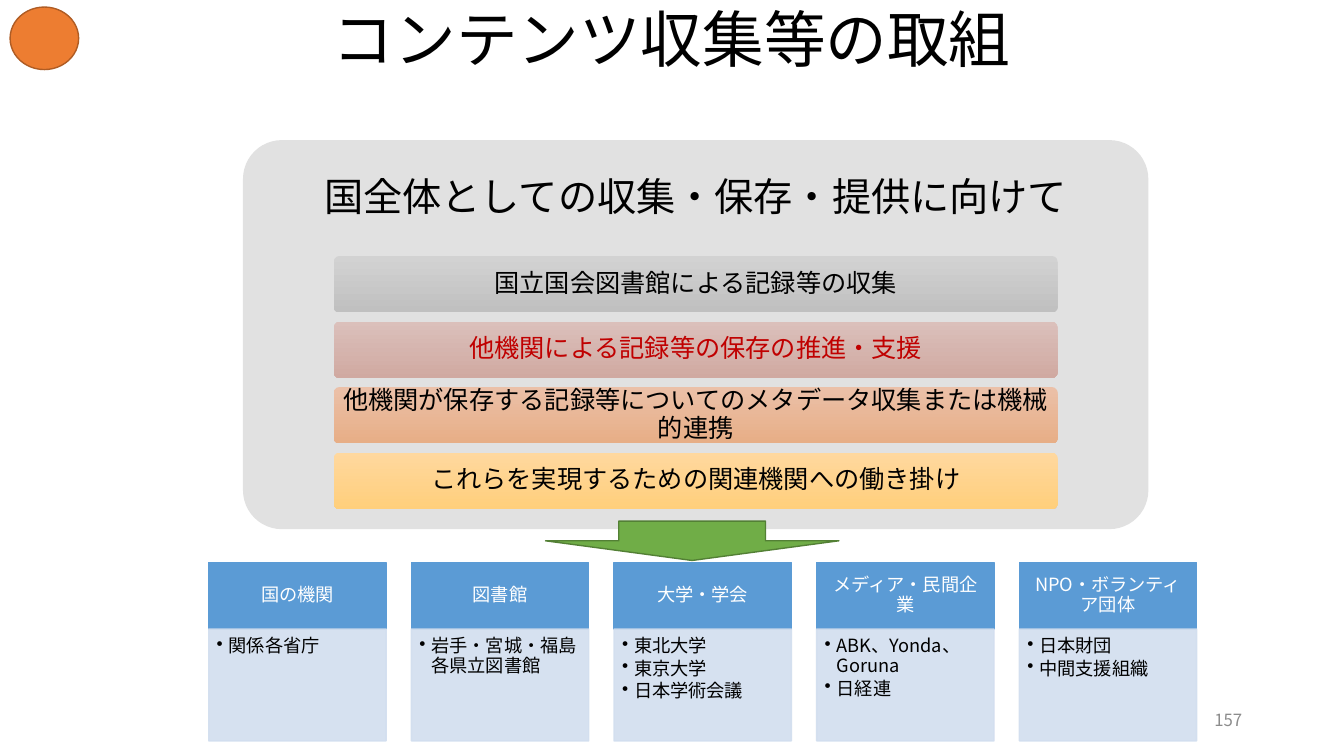
from dataclasses import dataclass

from lxml import etree
from pptx import Presentation
from pptx.dml.color import RGBColor
from pptx.enum import lang, shapes, text
from pptx.oxml import ns
from pptx.util import Inches, Pt


@dataclass(frozen=True)
class Theme:
    font: str = "Noto Sans CJK JP"
    ink: str = "000000"
    accent: str = "C00000"
    white: str = "FFFFFF"
    muted: str = "8C8C8C"
    panel: str = "E1E1E1"
    header: str = "5B9BD5"
    body: str = "D2DEEF"
    arrow: str = "70AD47"
    arrow_edge: str = "538035"
    marker: str = "ED7D31"
    marker_edge: str = "AF5C24"
    title_size: int = 44
    heading_size: int = 28
    bar_size: int = 18
    card_size: int = 13
    number_size: int = 12


THEME = Theme()
KIND = shapes.MSO_SHAPE
ALIGN = text.PP_ALIGN
ANCHOR = text.MSO_ANCHOR

BARS = [
    ("国立国会図書館による記録等の収集", THEME.ink, ("D2D2D2", "C0C0C0")),
    ("他機関による記録等の保存の推進・支援", THEME.accent, ("DBC0BB", "D0A9A1")),
    ("他機関が保存する記録等についてのメタデータ収集または機械的連携", THEME.ink, ("EBC0A8", "E7AE86")),
    ("これらを実現するための関連機関への働き掛け", THEME.ink, ("FFD89E", "FFCF7C")),
]
CARDS = [
    ("国の機関", ["関係各省庁"]),
    ("図書館", ["岩手・宮城・福島各県立図書館"]),
    ("大学・学会", ["東北大学", "東京大学", "日本学術会議"]),
    ("メディア・民間企業", ["ABK、Yonda、Goruna", "日経連"]),
    ("NPO・ボランティア団体", ["日本財団", "中間支援組織"]),
]


def rgb(value):
    return RGBColor.from_string(value)


def add_span(para, words, size, color):
    span = para.add_run()
    span.text = words
    span.font.name = THEME.font
    span.font.size = Pt(size)
    span.font.color.rgb = rgb(color)
    span.font.language_id = lang.MSO_LANGUAGE_ID.JAPANESE
    properties = span.font._element
    etree.SubElement(properties, ns.qn("a:ea"), typeface=THEME.font)


def set_frame(box, anchor, insets):
    frame = box.text_frame
    frame.word_wrap = True
    frame.auto_size = text.MSO_AUTO_SIZE.NONE
    frame.vertical_anchor = anchor
    frame.margin_left, frame.margin_top, frame.margin_right, frame.margin_bottom = map(Inches, insets)
    return frame


def write_line(box, words, size, color, insets=(0.1, 0.05, 0.1, 0.05), align=ALIGN.CENTER):
    para = set_frame(box, ANCHOR.MIDDLE, insets).paragraphs[0]
    para.alignment = align
    para.line_spacing = 0.9
    add_span(para, words, size, color)


def write_bullets(box, items):
    frame = set_frame(box, ANCHOR.TOP, (0.08, 0.08, 0.1, 0.11))
    for index, item in enumerate(items):
        para = frame.paragraphs[0] if index == 0 else frame.add_paragraph()
        properties = para._p.get_or_add_pPr()
        properties.set("marL", str(Inches(0.12)))
        properties.set("indent", str(Inches(-0.12)))
        etree.SubElement(properties, ns.qn("a:buChar"), char="•")
        para.alignment = ALIGN.LEFT
        para.line_spacing = 0.9
        para.space_after = Pt(2)
        add_span(para, item, THEME.card_size, THEME.ink)


def add_block(page, kind, place, fill, edge=None):
    block = page.shapes.add_shape(kind, *map(Inches, place))
    block.shadow.inherit = False
    if isinstance(fill, tuple):
        block.fill.gradient()
        block.fill.gradient_angle = 270
        for stop, color in zip(block.fill.gradient_stops, fill):
            stop.color.rgb = rgb(color)
    else:
        block.fill.solid()
        block.fill.fore_color.rgb = rgb(fill)
    if edge:
        block.line.color.rgb = rgb(edge)
        block.line.width = Pt(1)
    else:
        block.line.fill.background()
    if kind == KIND.ROUNDED_RECTANGLE:
        block.adjustments[0] = 0.1
    return block


def add_label(page, place, words, size, color, align=ALIGN.CENTER):
    box = page.shapes.add_textbox(*map(Inches, place))
    write_line(box, words, size, color, align=align)


def make_translucent(block, percent):
    for color in block._element.spPr.iter(ns.qn("a:srgbClr")):
        etree.SubElement(color, ns.qn("a:alpha"), val=str(percent * 1000))


def add_title(page, words):
    title = page.shapes.title
    title.left, title.top, title.width, title.height = map(Inches, (0, 0, 13.33, 0.85))
    write_line(title, words, THEME.title_size, THEME.ink)


def add_bar(page, top, words, color, gradient):
    bar = add_block(page, KIND.ROUNDED_RECTANGLE, (3.31, top, 7.18, 0.56), gradient)
    write_line(bar, words, THEME.bar_size, color, (0.05, 0.04, 0.05, 0.04))


def add_card(page, left, heading, items):
    header = add_block(page, KIND.RECTANGLE, (left, 5.58, 1.76, 0.66), THEME.header, THEME.header)
    write_line(header, heading, THEME.card_size, THEME.white, (0.1, 0.06, 0.1, 0.06))
    body = add_block(page, KIND.RECTANGLE, (left, 6.24, 1.76, 1.11), THEME.body, THEME.body)
    make_translucent(body, 90)
    write_bullets(body, items)


def main():
    deck = Presentation()
    deck.slide_width, deck.slide_height = Inches(13.33), Inches(7.5)
    page = deck.slides.add_slide(deck.slide_layouts[5])
    add_title(page, "コンテンツ収集等の取組")
    add_block(page, KIND.ROUNDED_RECTANGLE, (2.41, 1.39, 8.98, 3.86), THEME.panel)
    add_label(page, (2.41, 1.39, 8.98, 1.16), "国全体としての収集・保存・提供に向けて",
              THEME.heading_size, THEME.ink)
    for index, (words, color, gradient) in enumerate(BARS):
        add_bar(page, 2.54 + 0.65 * index, words, color, gradient)
    add_label(page, (9.42, 6.95, 3, 0.4), "157", THEME.number_size, THEME.muted, ALIGN.RIGHT)
    for index, (heading, items) in enumerate(CARDS):
        add_card(page, 2.07 + 2.01 * index, heading, items)
    add_block(page, KIND.DOWN_ARROW, (5.41, 5.17, 2.91, 0.39), THEME.arrow, THEME.arrow_edge)
    add_block(page, KIND.OVAL, (0.1, 0.07, 0.68, 0.62), THEME.marker, THEME.marker_edge)
    deck.save("out.pptx")


if __name__ == "__main__":
    main()
